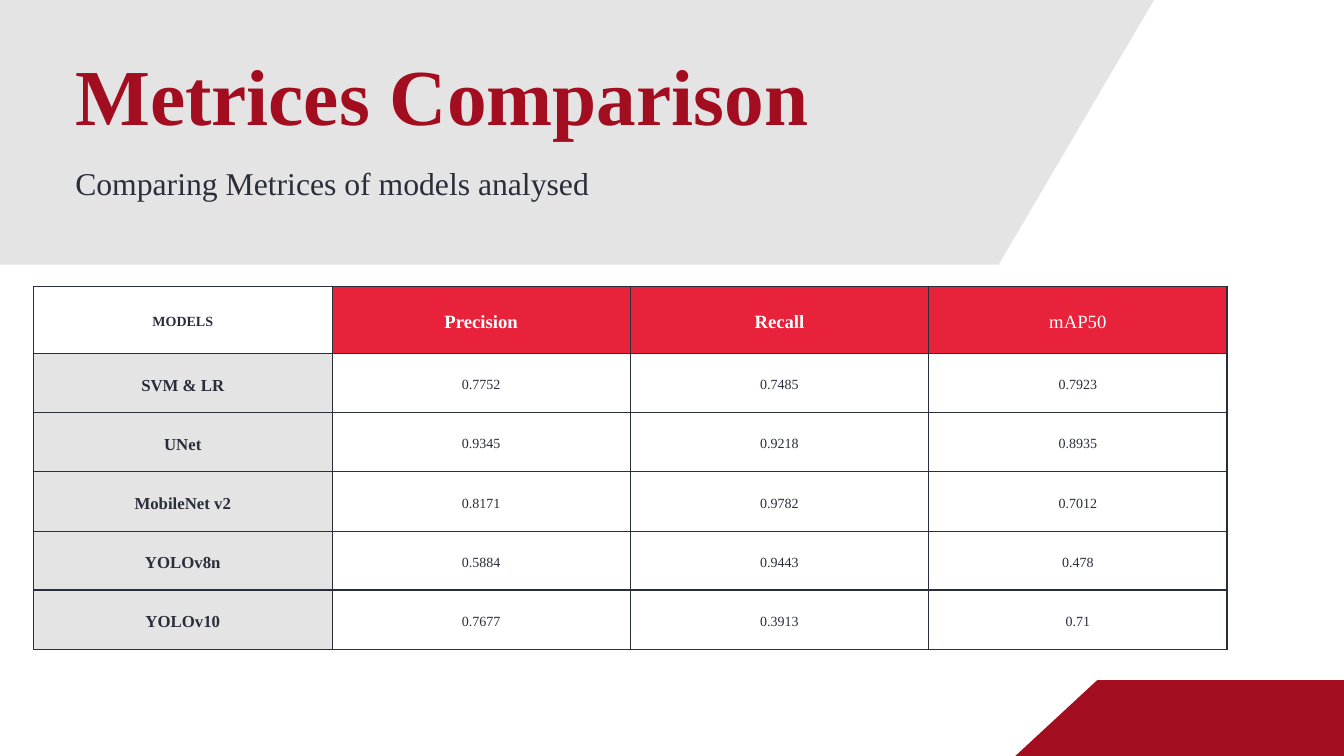
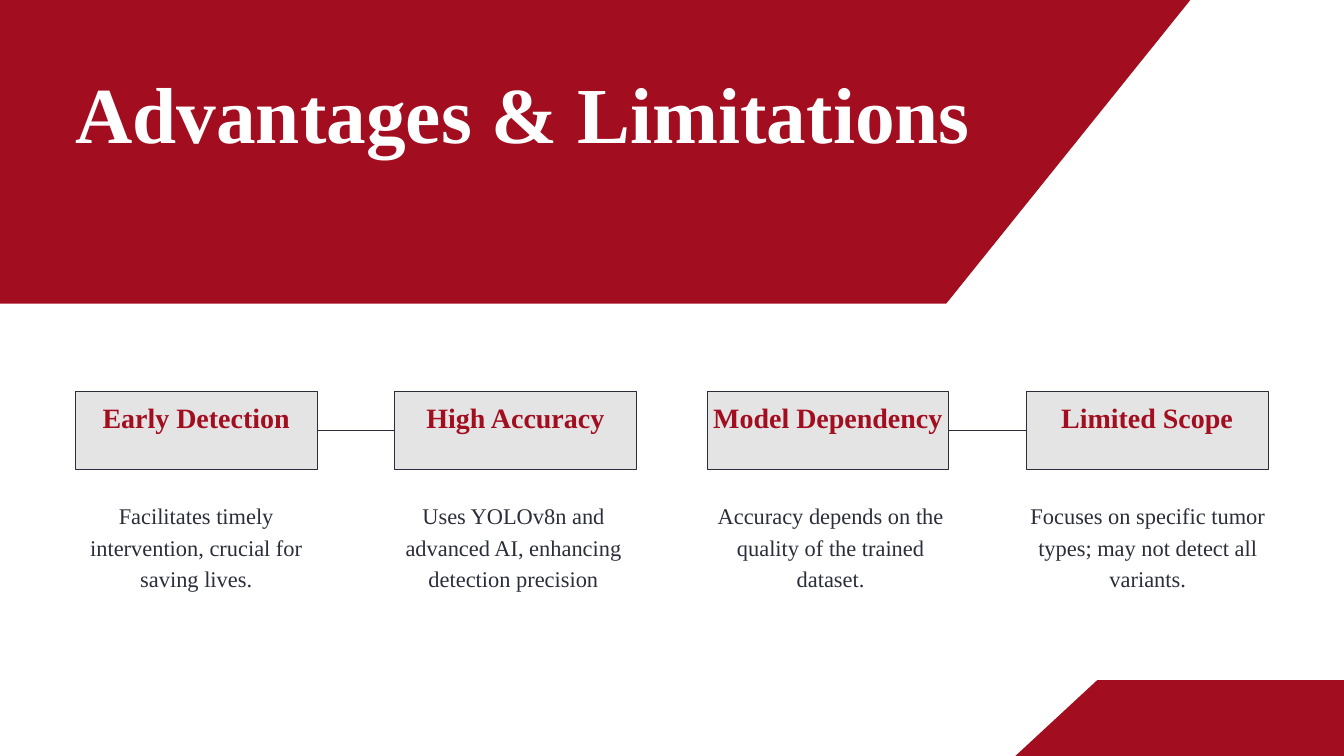
from lxml import etree
from pptx import Presentation, util as u
from pptx.dml.color import RGBColor
from pptx.enum import shapes, text
from pptx.oxml import ns

# Shared style
RED = RGBColor(0xA2, 0x0E, 0x20)
BRIGHT = RGBColor(0xE8, 0x22, 0x3B)
GREY = RGBColor(0xE4, 0xE4, 0xE4)
DARK = RGBColor(0x2A, 0x2E, 0x3A)
WHITE = RGBColor(0xFF, 0xFF, 0xFF)
FONT = "Times New Roman"
LEFT = 1.12
CENTER = text.PP_ALIGN.CENTER
MIDDLE = text.MSO_ANCHOR.MIDDLE

# Slide content
HEADS = ["MODELS", "Precision", "Recall", "mAP50"]
SCORES = [
    ["SVM & LR", "0.7752", "0.7485", "0.7923"],
    ["UNet", "0.9345", "0.9218", "0.8935"],
    ["MobileNet v2", "0.8171", "0.9782", "0.7012"],
    ["YOLOv8n", "0.5884", "0.9443", "0.478"],
    ["YOLOv10", "0.7677", "0.3913", "0.71"],
]
POINTS = [
    ("Early Detection", "Facilitates timely intervention, crucial for saving lives."),
    ("High Accuracy", "Uses YOLOv8n and advanced AI, enhancing detection precision"),
    ("Model Dependency", "Accuracy depends on the quality of the trained dataset."),
    ("Limited Scope", "Focuses on specific tumor types; may not detect all variants."),
]


def write(frame, words, size, color=DARK, bold=False, align=text.PP_ALIGN.LEFT, lead=1.4):
    """Fill a text frame with one formatted paragraph."""
    frame.word_wrap = True
    para = frame.paragraphs[0]
    para.alignment = align
    para.line_spacing = u.Pt(size * lead)
    run = para.add_run()
    run.text = words
    font = run.font
    font.name, font.size, font.bold = FONT, u.Pt(size), bold
    font.color.rgb = color


def inset(item, left, top, right, bottom):
    item.margin_left, item.margin_top = u.Inches(left), u.Inches(top)
    item.margin_right, item.margin_bottom = u.Inches(right), u.Inches(bottom)


def add_text(slide, box, words, size, **style):
    frame = slide.shapes.add_textbox(*map(u.Inches, box)).text_frame
    inset(frame, 0, 0, 0, 0)
    write(frame, words, size, **style)


def add_title(slide, top, width, words, color):
    add_text(slide, (LEFT, top, width, 1.55), words, 85, color=color, bold=True, lead=1.2)


def add_band(slide, points, color):
    """Draw a borderless slanted band through the points."""
    ends = [(u.Inches(x), u.Inches(y)) for x, y in points]
    pen = slide.shapes.build_freeform(*ends[0])
    pen.add_line_segments(ends[1:], close=True)
    band = pen.convert_to_shape()
    band.shadow.inherit = False
    band.fill.solid()
    band.fill.fore_color.rgb = color
    band.line.fill.background()


def add_foot(slide):
    add_band(slide, [(16.33, 10.12), (20.19, 10.12), (21.41, 11.25), (15.11, 11.25)], RED)


def add_edge(cell, side, width):
    edge = etree.SubElement(cell._tc.get_or_add_tcPr(), ns.qn(f"a:ln{side}"), w=str(u.Pt(width)))
    fill = etree.SubElement(edge, ns.qn("a:solidFill"))
    etree.SubElement(fill, ns.qn("a:srgbClr"), val=str(DARK))


def style_cell(cell, words, row, col):
    """Format a cell by its place: corner, header, model name or score."""
    size, color, bold, fill = 15, DARK, False, WHITE
    if row == 0 and col == 0:
        bold = True
    elif row == 0:
        size, color, bold, fill = 20, WHITE, words != "mAP50", BRIGHT
    elif col == 0:
        size, bold, fill = 18, True, GREY
    # The frame and the rule above the last row are thicker
    last = len(SCORES)
    thick = {"L": col == 0, "R": col == len(HEADS) - 1,
             "T": row in (0, last), "B": row >= last - 1}
    for side, heavy in thick.items():
        add_edge(cell, side, 1.5 if heavy else 0.75)
    cell.fill.solid()
    cell.fill.fore_color.rgb = fill
    cell.vertical_anchor = MIDDLE
    inset(cell, 0.21, 0.21, 0.21, 0.21)
    write(cell.text_frame, words, size, color=color, bold=bold, align=CENTER)


def add_scores(slide):
    rows = [HEADS] + SCORES
    box = map(u.Inches, (0.5, 4.26, 17.76, 5.4))
    table = slide.shapes.add_table(len(rows), len(HEADS), *box).table
    table.first_row = table.horz_banding = False
    for col in table.columns:
        col.width = u.Inches(4.44)
    for r, row in enumerate(rows):
        table.rows[r].height = u.Inches(0.88 if r else 1)
        for c, words in enumerate(row):
            style_cell(table.cell(r, c), words, r, c)


def add_label(slide, left, words):
    box = map(u.Inches, (left, 5.82, 3.6, 1.17))
    label = slide.shapes.add_shape(shapes.MSO_SHAPE.RECTANGLE, *box)
    label.shadow.inherit = False
    label.fill.solid()
    label.fill.fore_color.rgb = GREY
    label.line.color.rgb = DARK
    label.line.width = u.Pt(0.75)
    inset(label.text_frame, 0.06, 0.06, 0.06, 0.53)
    label.text_frame.vertical_anchor = MIDDLE
    write(label.text_frame, words, 30, color=RED, bold=True, align=CENTER)
    return label


def join(slide, start, end):
    link = slide.shapes.add_connector(shapes.MSO_CONNECTOR.STRAIGHT, 0, 0, 0, 0)
    link.begin_connect(start, 3)
    link.end_connect(end, 1)
    link.line.color.rgb = DARK
    link.line.width = u.Pt(0.75)
    etree.SubElement(link._element.spPr, ns.qn("a:effectLst"))


def add_metrics(slide):
    add_band(slide, [(14.86, 3.94), (-0.29, 3.94), (-2.85, -0.42), (17.42, -0.42)], GREY)
    add_foot(slide)
    add_title(slide, 0.69, 12.71, "Metrices Comparison", RED)
    add_text(slide, (LEFT, 2.35, 12.71, 0.67), "Comparing Metrices of models analysed", 34)
    add_scores(slide)


def add_points(slide):
    add_band(slide, [(14.08, 4.52), (-0.23, 4.52), (-5.02, -1.45), (18.88, -1.45)], RED)
    add_title(slide, 0.95, 15.1, "Advantages & Limitations", WHITE)
    # Two joined pairs of labels, with evenly spaced notes below
    labels = []
    for i, (head, note) in enumerate(POINTS):
        pair, side = divmod(i, 2)
        labels.append(add_label(slide, LEFT + 9.4 * pair + 4.75 * side, head))
        add_text(slide, (LEFT + 4.72 * i, 7.41, 3.6, 1.41), note, 24, align=CENTER)
    for start, end in zip(labels[::2], labels[1::2]):
        join(slide, start, end)
    add_foot(slide)


def main():
    deck = Presentation()
    deck.slide_width, deck.slide_height = u.Inches(20), u.Inches(11.25)
    for build in (add_metrics, add_points):
        build(deck.slides.add_slide(deck.slide_layouts[6]))
    deck.save("out.pptx")


if __name__ == "__main__":
    main()
